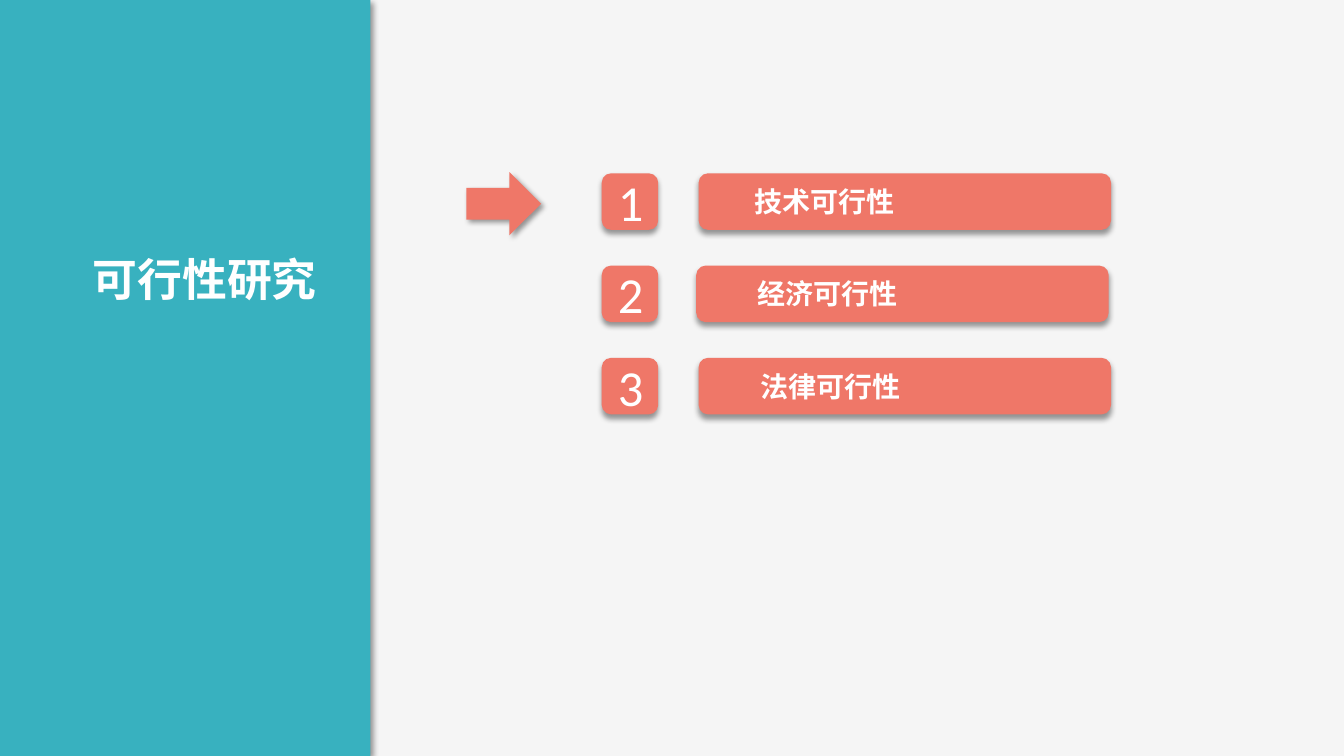
from lxml import etree
from pptx import Presentation
from pptx.dml.color import RGBColor
from pptx.enum.shapes import MSO_SHAPE
from pptx.enum.text import MSO_ANCHOR, PP_ALIGN
from pptx.oxml.ns import qn
from pptx.util import Pt

RECTANGLE = MSO_SHAPE.RECTANGLE
ROUNDED = MSO_SHAPE.ROUNDED_RECTANGLE
DOWN_ARROW = MSO_SHAPE.DOWN_ARROW
LEFT, CENTER, RIGHT = PP_ALIGN.LEFT, PP_ALIGN.CENTER, PP_ALIGN.RIGHT
TOP, MIDDLE = MSO_ANCHOR.TOP, MSO_ANCHOR.MIDDLE

WHITE = RGBColor(0xFF, 0xFF, 0xFF)
PAPER = RGBColor(0xF5, 0xF5, 0xF5)
TEAL = RGBColor(0x38, 0xB1, 0xBF)
CORAL = RGBColor(0xEF, 0x77, 0x68)

PAGE_WIDTH, PAGE_HEIGHT = 960, 540
ROW_TOP, ROW_PITCH, ROW_HEIGHT = 123.8, 65.9, 40.4
ROWS = [
    ("技术可行性", 499, 529.2),
    ("经济可行性", 497.3, 531.3),
    ("法律可行性", 499, 533.4),
]


def write_text(box, text, size, font, bold=False, align=LEFT, anchor=TOP):
    frame = box.text_frame
    frame.word_wrap = True
    frame.vertical_anchor = anchor
    frame.margin_left = frame.margin_right = Pt(9.6)
    frame.margin_top = frame.margin_bottom = Pt(4.8)
    para = frame.paragraphs[0]
    para.alignment = align
    span = para.add_run()
    span.text = text
    span.font.size = Pt(size)
    span.font.name = font
    span.font.bold = bold
    span.font.color.rgb = WHITE
    east_asian = etree.SubElement(span.font._element, qn("a:ea"))
    east_asian.set("typeface", font)


class FeasibilitySlide:
    heading_font = "Noto Sans CJK SC"
    number_font = "Calibri"

    def __init__(self, deck):
        self.page = deck.slides.add_slide(deck.slide_layouts[6])
        background = self.page.background.fill
        background.solid()
        background.fore_color.rgb = PAPER

    def shape(self, kind, left, top, width, height, color, angle=90, parent=None):
        shapes = (parent or self.page).shapes
        box = shapes.add_shape(kind, Pt(left), Pt(top), Pt(width), Pt(height))
        box.fill.solid()
        box.fill.fore_color.rgb = color
        box.line.fill.background()
        self.shadow(box, angle)
        return box

    def shadow(self, box, angle):
        box.shadow.inherit = False
        effects = box._element.spPr.find(qn("a:effectLst"))
        outer = etree.SubElement(
            effects, qn("a:outerShdw"), blurRad=str(Pt(4)), dist=str(Pt(3)),
            dir=str(angle * 60000), algn="t", rotWithShape="0")
        color = etree.SubElement(outer, qn("a:srgbClr"), val="000000")
        etree.SubElement(color, qn("a:alpha"), val="40000")

    def heading(self, text, left, top, width, height, size, align=LEFT, parent=None):
        shapes = (parent or self.page).shapes
        box = shapes.add_textbox(Pt(left), Pt(top), Pt(width), Pt(height))
        write_text(box, text, size, self.heading_font, bold=True, align=align)

    def number(self, value, top):
        box = self.shape(ROUNDED, 429.8, top, ROW_HEIGHT, ROW_HEIGHT, CORAL)
        write_text(box, str(value), 36, self.number_font, align=CENTER, anchor=MIDDLE)

    def bar(self, text, left, text_left, top):
        group = self.page.shapes.add_group_shape()
        self.shape(ROUNDED, left, top, 294.6, ROW_HEIGHT, CORAL, parent=group)
        self.heading(text, text_left, top + 3.2, 208.8, 33.8, 20, parent=group)

    def pointer(self):
        arrow = self.shape(DOWN_ARROW, 337.2, 118.8, 45.2, 53.4, CORAL, angle=45)
        arrow.rotation = 270


def main():
    deck = Presentation()
    deck.slide_width, deck.slide_height = Pt(PAGE_WIDTH), Pt(PAGE_HEIGHT)
    slide = FeasibilitySlide(deck)
    slide.shape(RECTANGLE, 0, 0, 264.6, PAGE_HEIGHT, TEAL, angle=45)
    slide.heading("可行性研究", 15, 175, 221, 48.2, 32, align=RIGHT)
    slide.pointer()
    for index, (text, left, text_left) in enumerate(ROWS):
        top = ROW_TOP + index * ROW_PITCH
        slide.number(index + 1, top)
        slide.bar(text, left, text_left, top)
    deck.save("out.pptx")


if __name__ == "__main__":
    main()
